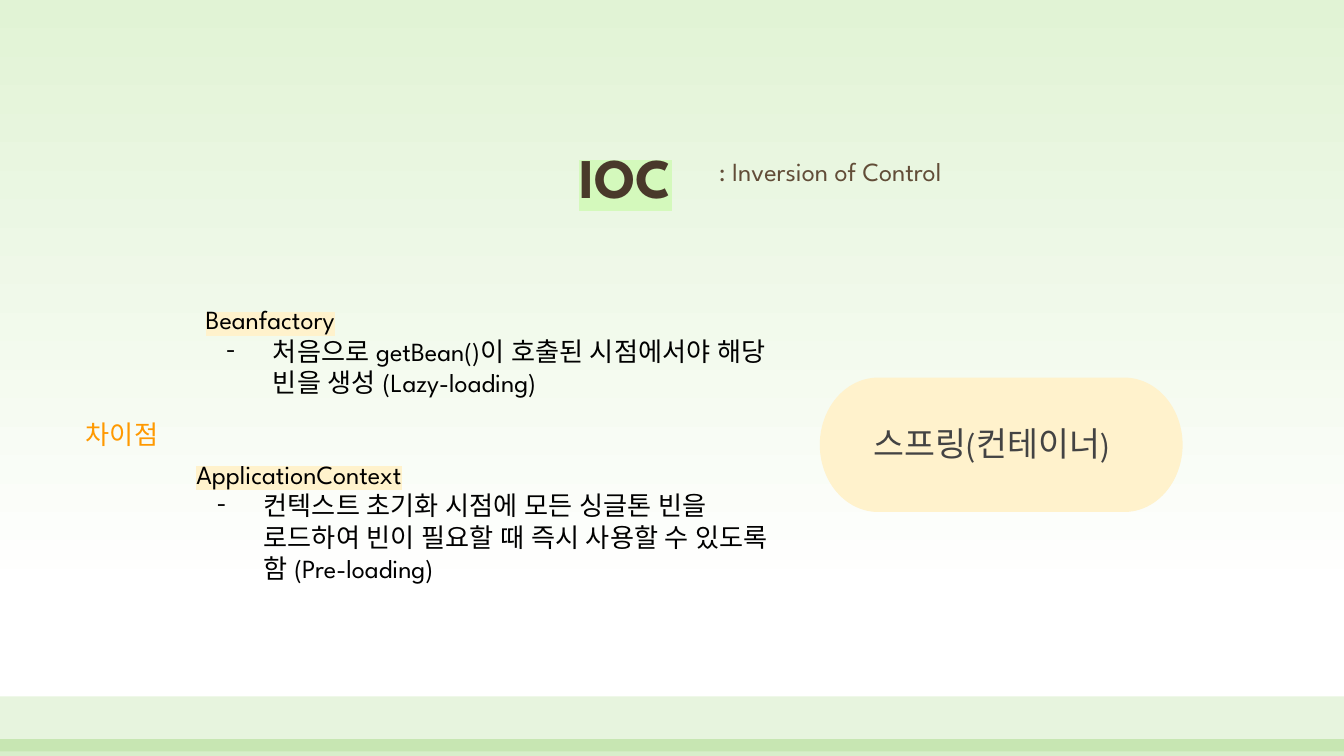
from lxml import etree
from pptx import Presentation
from pptx.dml.color import RGBColor
from pptx.enum import shapes, text
from pptx.oxml import ns
from pptx.util import Pt

FONT = "League Spartan"
COLORS = {
    "mint": "E1F3D5", "white": "FFFFFF", "green": "72C23C", "lime": "D4F9BC",
    "cream": "FFF2CC", "black": "000000", "orange": "FF9900", "gray": "434343",
    "brown": "49392A", "light_brown": "624D38",
}
TITLE = ("IOC", (305.3, 52.6, 100.8, 64.1))
SUBTITLE = (": Inversion of Control", (380.2, 81.4, 230.4, 43.9))
DIFFERENCE = ("차이점", (38.9, 216.7, 59, 43.9))
CONTAINER = ("스프링(컨테이너)", (460.8, 219.6, 159.1, 43.9))
CONTAINER_PILL = (439.2, 202.3, 194.4, 72)
FOOTER_BARS = [((0, 373, 720, 29.5), 17), ((0, 396, 720, 9), 27)]
LISTS = [
    ("Beanfactory",
     "처음으로 getBean()이 호출된 시점에서야 해당 빈을 생성 (Lazy-loading)",
     (103, 155.5, 316.8, 66.2)),
    ("ApplicationContext",
     "컨텍스트 초기화 시점에 모든 싱글톤 빈을 로드하여 빈이 필요할 때 즉시 사용할 수 있도록 함 (Pre-loading)",
     (98, 238.3, 321.1, 97.2)),
]
WIDE_INSETS = (7.2, 7.2)
NARROW_INSETS = (5, 3.6)


def rgb(name):
    return RGBColor.from_string(COLORS[name])


def points(box):
    return [Pt(value) for value in box]


def place(shape, box):
    shape.left, shape.top, shape.width, shape.height = points(box)


def add_block(slide, kind, box, color, alpha=None):
    shape = slide.shapes.add_shape(kind, *points(box))
    shape.shadow.inherit = False
    shape.fill.solid()
    shape.fill.fore_color.rgb = rgb(color)
    shape.line.fill.background()
    if alpha is not None:
        color_element = shape.fill._xPr.find(".//" + ns.qn("a:srgbClr"))
        etree.SubElement(color_element, ns.qn("a:alpha"), val=str(alpha * 1000))
    return shape


def prepare_frame(shape, insets, anchor=text.MSO_ANCHOR.TOP):
    frame = shape.text_frame
    frame.word_wrap = True
    frame.auto_size = text.MSO_AUTO_SIZE.NONE
    frame.vertical_anchor = anchor
    frame.margin_left = frame.margin_right = Pt(insets[0])
    frame.margin_top = frame.margin_bottom = Pt(insets[1])
    return frame


def format_paragraph(paragraph, size, color, bold=False, highlight=None, spacing=1.0):
    paragraph.alignment = text.PP_ALIGN.LEFT
    paragraph.line_spacing = spacing
    paragraph.space_before = Pt(0)
    for run in paragraph.runs:
        font = run.font
        font.size, font.bold, font.name = Pt(size), bold, FONT
        font.color.rgb = rgb(color)
        properties = run._r.get_or_add_rPr()
        latin = properties.find(ns.qn("a:latin"))
        east_asian = etree.Element(ns.qn("a:ea"), typeface=FONT)
        latin.addnext(east_asian)
        if highlight:
            marker = etree.Element(ns.qn("a:highlight"))
            etree.SubElement(marker, ns.qn("a:srgbClr"), val=COLORS[highlight])
            properties.find(ns.qn("a:solidFill")).addnext(marker)


def set_bullet(paragraph, character=None):
    properties = paragraph._p.get_or_add_pPr()
    properties.set("marL", str(Pt(36) if character else 0))
    properties.set("indent", str(-Pt(25.2) if character else 0))
    if character:
        bullet_color = etree.SubElement(properties, ns.qn("a:buClr"))
        etree.SubElement(bullet_color, ns.qn("a:srgbClr"), val=COLORS["black"])
        etree.SubElement(properties, ns.qn("a:buFont"), typeface=FONT)
        etree.SubElement(properties, ns.qn("a:buChar"), char=character)
    else:
        etree.SubElement(properties, ns.qn("a:buNone"))


def fill_list(placeholder, heading, detail, box):
    place(placeholder, box)
    frame = prepare_frame(placeholder, WIDE_INSETS)
    frame.text = heading + "\n" + detail
    for paragraph, bullet, highlight in zip(frame.paragraphs, (None, "-"), ("cream", None)):
        set_bullet(paragraph, bullet)
        format_paragraph(paragraph, 14, "black", highlight=highlight)


def add_label(slide, label, size, color, insets, spacing=1.0):
    wording, box = label
    frame = prepare_frame(slide.shapes.add_textbox(*points(box)), insets)
    frame.text = wording
    format_paragraph(frame.paragraphs[0], size, color, spacing=spacing)


def main():
    presentation = Presentation()
    presentation.slide_width, presentation.slide_height = Pt(720), Pt(405)
    slide = presentation.slides.add_slide(presentation.slide_layouts.get_by_name("Two Content"))

    background = slide.background.fill
    background.gradient()
    background.gradient_angle = 270
    for stop, color, position in zip(background.gradient_stops, ("mint", "white"), (0, 0.79)):
        stop.color.rgb = rgb(color)
        stop.position = position

    for box, alpha in FOOTER_BARS:
        add_block(slide, shapes.MSO_SHAPE.RECTANGLE, box, "green", alpha)

    title, *bodies = slide.placeholders
    place(title, TITLE[1])
    frame = prepare_frame(title, NARROW_INSETS, text.MSO_ANCHOR.BOTTOM)
    frame.text = TITLE[0]
    format_paragraph(frame.paragraphs[0], 30, "brown", True, "lime", 0.9)

    for placeholder, content in zip(bodies, LISTS):
        fill_list(placeholder, *content)
    for placeholder in bodies[len(LISTS):]:
        placeholder._element.getparent().remove(placeholder._element)

    add_label(slide, DIFFERENCE, 14, "orange", WIDE_INSETS)
    add_block(slide, shapes.MSO_SHAPE.FLOWCHART_TERMINATOR, CONTAINER_PILL, "cream")
    add_label(slide, CONTAINER, 18, "gray", WIDE_INSETS)
    add_label(slide, SUBTITLE, 14, "light_brown", NARROW_INSETS, 0.9)

    presentation.save("out.pptx")


if __name__ == "__main__":
    main()
